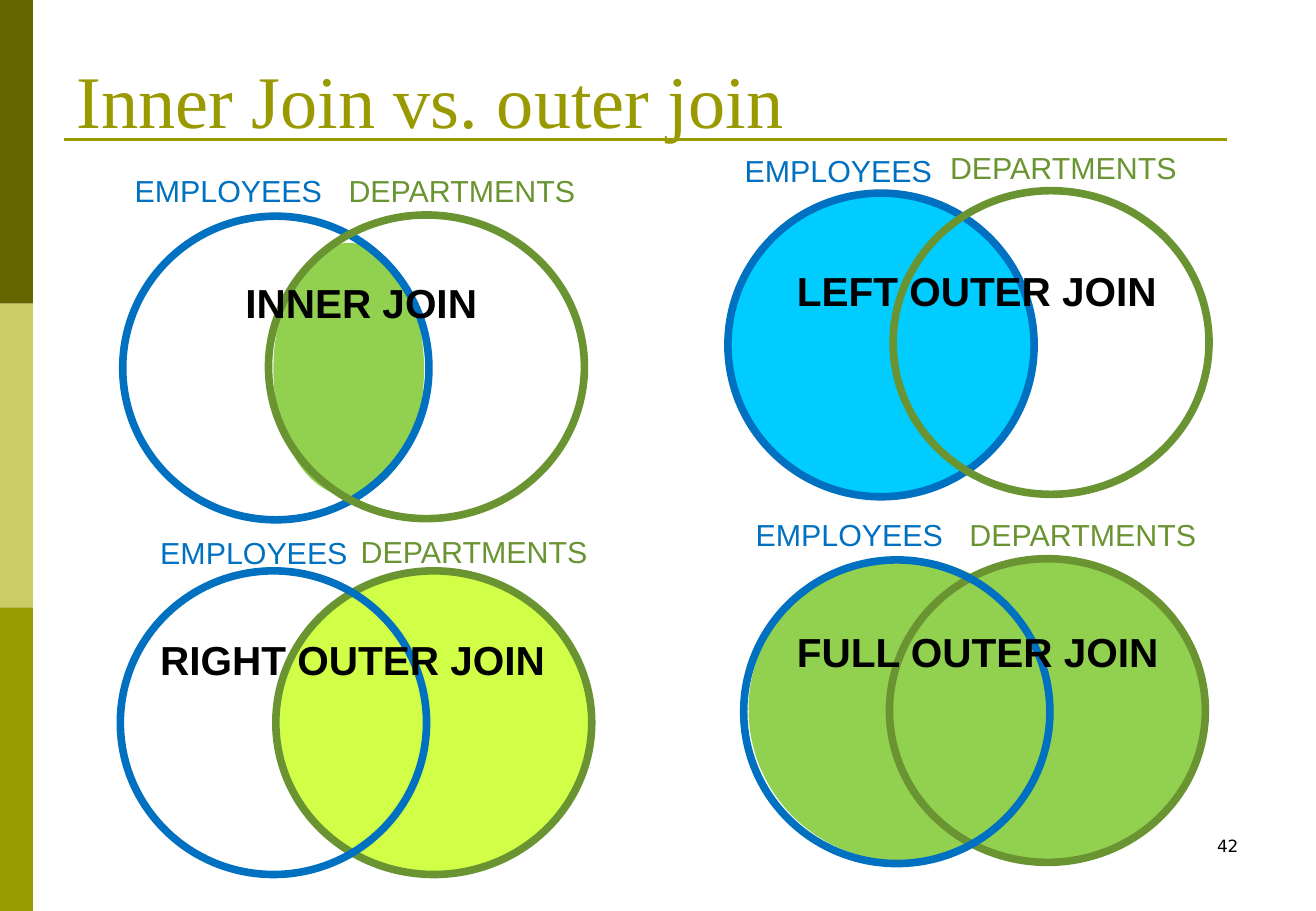
from pptx import Presentation
from pptx.dml.color import RGBColor
from pptx.enum.shapes import MSO_SHAPE as Shape, MSO_CONNECTOR as Line
from pptx.enum.text import MSO_ANCHOR as Anchor, PP_ALIGN as Align
from pptx.oxml.ns import qn
from pptx.util import Inches, Pt
from lxml import etree

W, H = 10.83, 7.5
BLUE, GREEN, LIME, OLIVE = "0070C0", "6A9432", "92D050", "999900"
ROUND = H / 3  # height of a circle and of a side bar

deck = Presentation()
deck.slide_width, deck.slide_height = Inches(W), Inches(H)
slide = deck.slides.add_slide(deck.slide_layouts[6])


def draw(kind, x, y, w, h, fill=None, line=None):
    item = slide.shapes.add_shape(kind, *map(Inches, (x, y, w, h)))
    item.shadow.inherit = False
    for part, tone in ((item.fill, fill), (item.line.fill, line)):
        if tone:
            part.solid()
            part.fore_color.rgb = RGBColor.from_string(tone)
        else:
            part.background()
    if line:
        item.line.width = Pt(4.5)


def write(text, x, y, w, h, size=18, tone="000000", font="Arial",
          bold=False, align=Align.LEFT, anchor=Anchor.TOP):
    frame = slide.shapes.add_textbox(*map(Inches, (x, y, w, h))).text_frame
    frame.word_wrap = True
    frame.vertical_anchor = anchor
    par = frame.paragraphs[0]
    par.alignment = align
    run = par.add_run()
    run.text = text
    run.font.size, run.font.name, run.font.bold = Pt(size), font, bold
    run.font.color.rgb = RGBColor.from_string(tone)


# Side bars, rule and title
for row, tone in enumerate(("666600", "CCCC66", OLIVE)):
    draw(Shape.RECTANGLE, 0, row * ROUND, W / 40, ROUND, fill=tone)

rule = slide.shapes.add_connector(
    Line.STRAIGHT, *map(Inches, (0.53, 1.15, 10.1, 1.15)))
rule.line.color.rgb = RGBColor.from_string(OLIVE)
rule.line.width = Pt(1.5)
etree.SubElement(rule.element.spPr, qn("a:effectLst"))

write("Inner Join vs. outer join", 0.53, 0.28, 9.75, 0.95, size=44,
      tone=OLIVE, font="Times New Roman", anchor=Anchor.BOTTOM)
write("42", 7.76, 6.83, 2.53, 0.5, size=10, font="DejaVu Sans",
      align=Align.RIGHT)

# Each join: name box, label corners, then ovals from back to front
EMP, DEP = 2.52, 2.6  # circle widths
joins = [
    ("INNER JOIN", (1.92, 2.24, 2.32), (1.01, 1.37), (2.77, 1.37), [
        (2.25, 2, 1.24, 2.08, LIME, None),
        (1.01, 1.78, EMP, ROUND, None, BLUE),
        (2.21, 1.77, DEP, ROUND, None, GREEN)]),
    ("LEFT OUTER JOIN", (6.46, 2.14, 3.37), (6.03, 1.2), (7.72, 1.18), [
        (5.99, 1.59, EMP, ROUND, "00CCFF", BLUE),
        (7.35, 1.57, DEP, ROUND, None, GREEN)]),
    ("RIGHT OUTER JOIN", (1.22, 5.18, 3.45), (1.22, 4.35), (2.87, 4.34), [
        (2.27, 4.7, DEP, ROUND, "D1FF47", GREEN),
        (0.99, 4.7, EMP, ROUND, None, BLUE)]),
    ("FULL OUTER JOIN", (6.46, 5.11, 3.23), (6.12, 4.2), (7.88, 4.2), [
        (6.16, 4.59, EMP, ROUND, LIME, None),
        (7.32, 4.6, DEP, ROUND, LIME, GREEN),
        (6.12, 4.61, EMP, ROUND, None, BLUE)]),
]
for name, box, left, right, ovals in joins:
    for oval in ovals:
        draw(Shape.OVAL, *oval)
    write("EMPLOYEES", *left, 1.81, 0.4, tone=BLUE)
    write("DEPARTMENTS", *right, 2.09, 0.4, tone=GREEN)
    write(name, *box, 0.5, size=24, bold=True)

deck.save("out.pptx")
